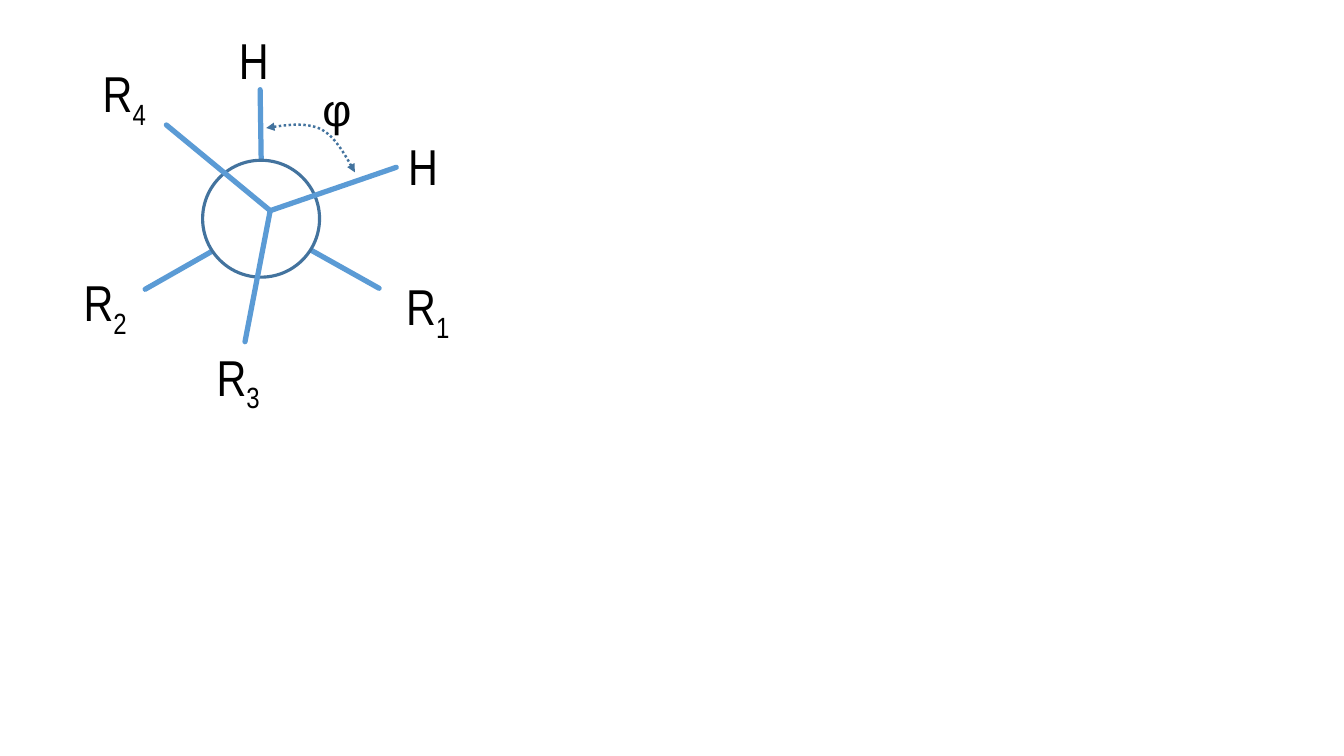
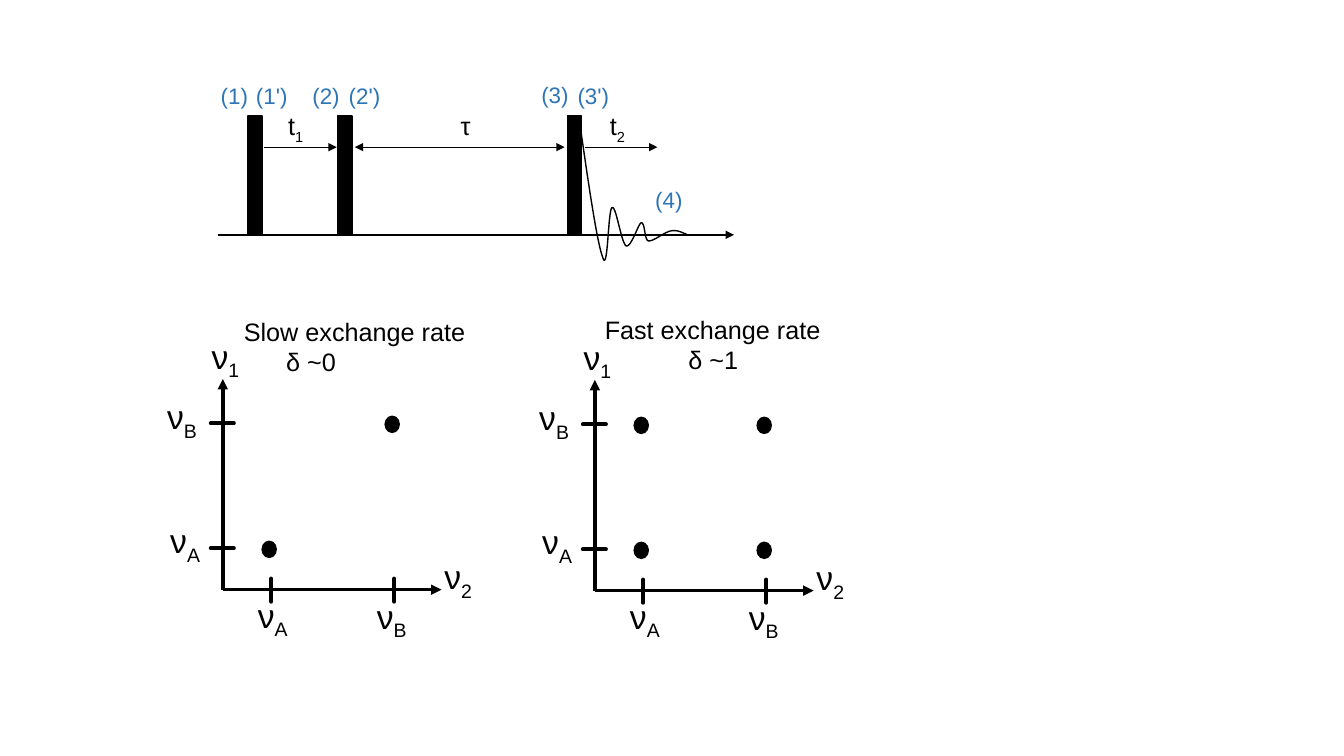
import pptx
import pptx.dml.color
import pptx.enum.dml
import pptx.enum.shapes
import pptx.enum.text
import pptx.oxml
import pptx.oxml.ns
import pptx.util
from pptx.util import Inches

BLACK = "000000"
BOND_BLUE = "5B9BD5"
OUTLINE_BLUE = "43739E"
STAGE_BLUE = "2E75B6"
OVAL = pptx.enum.shapes.MSO_SHAPE.OVAL
RECTANGLE = pptx.enum.shapes.MSO_SHAPE.RECTANGLE


def color(hex_string):
    return pptx.dml.color.RGBColor.from_string(hex_string)


def new_element(tag):
    return pptx.oxml.parse_xml(f"<a:{tag} {pptx.oxml.ns.nsdecls('a')}/>")


def style_line(line, hex_string, width, head=False, tail=False, dash=None, rounded=False):
    line.color.rgb = color(hex_string)
    line.width = pptx.util.Pt(width)
    if dash:
        line.dash_style = dash
    outline = line._get_or_add_ln()
    if rounded:
        outline.set("cap", "rnd")
    for wanted, tag in ((head, "headEnd"), (tail, "tailEnd")):
        if wanted:
            end = new_element(tag)
            end.set("type", "triangle")
            outline.append(end)


def add_line(shapes, start, end, hex_string, width, **options):
    straight = pptx.enum.shapes.MSO_CONNECTOR.STRAIGHT
    connector = shapes.add_connector(straight, *map(Inches, (*start, *end)))
    style_line(connector.line, hex_string, width, **options)
    connector._element.spPr.append(new_element("effectLst"))


def add_filled(shapes, kind, box, fill, line, width):
    shape = shapes.add_shape(kind, *map(Inches, box))
    shape.shadow.inherit = False
    shape.fill.solid()
    shape.fill.fore_color.rgb = color(fill)
    style_line(shape.line, line, width)


def bezier_points(start, curves, steps=16):
    """Yield points along a chain of cubic curves, each (control, control, end)."""
    for first, second, end in curves:
        for step in range(1, steps + 1):
            t = step / steps
            u = 1 - t
            yield tuple(
                Inches(u**3 * a + 3 * u * u * t * b + 3 * u * t * t * c + t**3 * d)
                for a, b, c, d in zip(start, first, second, end)
            )
        start = end


def add_curve(shapes, left, top, start, curves, hex_string, width, **options):
    def place(point):
        return left + point[0], top + point[1]

    start = place(start)
    curves = [[place(point) for point in curve] for curve in curves]
    builder = shapes.build_freeform(*map(Inches, start))
    builder.add_line_segments(list(bezier_points(start, curves)), close=False)
    curve_shape = builder.convert_to_shape()
    curve_shape.shadow.inherit = False
    curve_shape.fill.background()
    style_line(curve_shape.line, hex_string, width, **options)


def add_label(shapes, box, text, size, subscript="", font="Arial", hex_string=BLACK):
    text_box = shapes.add_textbox(*map(Inches, box))
    frame = text_box.text_frame
    frame.word_wrap = False
    frame.auto_size = pptx.enum.text.MSO_AUTO_SIZE.SHAPE_TO_FIT_TEXT
    frame.text = text
    if subscript:
        span = frame.paragraphs[0].add_run()
        span.text = subscript
        span._r.get_or_add_rPr().set("baseline", "-25000")
    for para in frame.paragraphs:
        for span in para.runs:
            span.font.name = font
            span.font.size = pptx.util.Pt(size)
            span.font.color.rgb = color(hex_string)
    return frame


def add_newman_projection(page, left, top):
    shapes = page.shapes.add_group_shape().shapes

    def add_bonds(bonds):
        for (x1, y1), (x2, y2) in bonds:
            add_line(shapes, (left + x1, top + y1), (left + x2, top + y2),
                     BOND_BLUE, 3.75, rounded=True)

    rear_atom, front_atom = (1.87, 1.97), (1.95, 1.85)
    add_bonds((end, rear_atom) for end in ((1.85, 0.65), (3.03, 2.62), (0.71, 2.63)))
    add_filled(shapes, OVAL, (left + 1.28, top + 1.35, 1.16, 1.16),
               "FFFFFF", OUTLINE_BLUE, 2.25)
    add_bonds((end, front_atom) for end in ((1.7, 3.15), (3.2, 1.42), (0.92, 1)))

    add_curve(shapes, left, top, (1.91, 1.03),
              [((2.1, 1), (2.3, 0.97), (2.45, 1.04)),
               ((2.59, 1.11), (2.69, 1.29), (2.79, 1.47))],
              OUTLINE_BLUE, 1.75, head=True, tail=True,
              dash=pptx.enum.dml.MSO_LINE.ROUND_DOT)
    add_label(shapes, (left + 2.37, top + 0.52, 0.44, 0.64), "φ", 32)
    for x, y, text, subscript in (
        (3.22, 1.05, "H", ""), (1.54, 0, "H", ""),
        (0.19, 0.33, "R", "4"), (0, 2.4, "R", "2"),
        (1.32, 3.14, "R", "3"), (3.2, 2.44, "R", "1"),
    ):
        width = 0.75 if subscript else 0.57
        add_label(shapes, (left + x, top + y, width, 0.71), text, 36,
                  subscript, "Arial Narrow")


def add_pulse_sequence(page, left, top):
    shapes = page.shapes.add_group_shape().shapes
    baseline = top + 1.57
    add_line(shapes, (left + 0.07, baseline), (left + 5.19, baseline),
             BLACK, 1.5, tail=True)
    for x in (0.37, 1.26, 3.54):
        add_filled(shapes, RECTANGLE, (left + x, top + 0.39, 0.14, 1.18), BLACK, BLACK, 1)

    for start, end, head in ((0.53, 1.25, False), (1.43, 3.51, True), (3.71, 4.43, False)):
        add_line(shapes, (left + start, top + 0.7), (left + end, top + 0.7),
                 BLACK, 0.5, head=head, tail=True)
    for x, width, text, subscript in (
        (0.67, 0.37, "t", "1"), (2.38, 0.31, "τ", ""), (3.86, 0.36, "t", "2"),
    ):
        add_label(shapes, (left + x, top + 0.29, width, 0.4), text, 18, subscript)

    add_curve(shapes, left, top, (3.65, 0.39),
              [((3.74, 1.02), (3.83, 1.65), (3.89, 1.8)),
               ((3.94, 1.95), (3.94, 1.32), (3.98, 1.3)),
               ((4.02, 1.27), (4.07, 1.65), (4.12, 1.68)),
               ((4.17, 1.7), (4.24, 1.46), (4.27, 1.45)),
               ((4.31, 1.45), (4.3, 1.62), (4.34, 1.63)),
               ((4.39, 1.64), (4.5, 1.54), (4.57, 1.53)),
               ((4.63, 1.52), (4.68, 1.55), (4.73, 1.57))],
              BLACK, 1)
    for x, y, text in (
        (0, 0.01, "(1)"), (0.35, 0.01, "(1')"), (0.91, 0.01, "(2)"),
        (1.27, 0.01, "(2')"), (3.18, 0, "(3)"), (3.54, 0.01, "(3')"),
        (4.31, 1.04, "(4)"),
    ):
        width = 0.52 if "'" in text else 0.48
        add_label(shapes, (left + x, top + y, width, 0.37), text, 16,
                  hex_string=STAGE_BLUE)


def add_exchange_plot(page, left, top, title, title_box, delta, delta_indent, peaks):
    """Draw a two-frequency plot; peaks are (ν2, ν1) pairs of the sites A and B."""
    shapes = page.shapes.add_group_shape().shapes
    origin_x, origin_y = left + 0.65, top + 2.77
    tick_x = {"A": origin_x + 0.48, "B": origin_x + 1.7}
    tick_y = {"A": origin_y - 0.41, "B": origin_y - 1.65}

    for end in ((origin_x, top + 0.68), (left + 2.82, origin_y)):
        add_line(shapes, (origin_x, origin_y), end, BLACK, 2.5, tail=True)
    for x in tick_x.values():
        add_line(shapes, (x, origin_y - 0.11), (x, origin_y + 0.12),
                 BLACK, 2.75, rounded=True)
    for y in tick_y.values():
        add_line(shapes, (origin_x - 0.12, y), (origin_x + 0.11, y),
                 BLACK, 2.75, rounded=True)
    for site_x, site_y in peaks:
        box = (tick_x[site_x] - 0.09, tick_y[site_y] - 0.07, 0.14, 0.16)
        add_filled(shapes, OVAL, box, BLACK, BLACK, 1)

    for x, y, subscript in (
        (0.44, 0.2, "1"), (2.75, 2.39, "2"), (0.9, 2.77, "A"),
        (2.08, 2.78, "B"), (0.03, 2.03, "A"), (0, 0.8, "B"),
    ):
        width = 0.5 if subscript.isdigit() else 0.53
        add_label(shapes, (left + x, top + y, width, 0.5), "ν", 24, subscript)

    x, y, width = title_box
    frame = add_label(shapes, (left + x, top + y, width, 0.71), f"{title}\n{delta}", 18)
    properties = frame.paragraphs[1]._p.get_or_add_pPr()
    properties.set("marL", str(Inches(delta_indent)))


def main():
    deck = pptx.Presentation()
    deck.slide_width, deck.slide_height = Inches(13.33), Inches(7.5)
    blank = deck.slide_layouts[6]

    add_newman_projection(deck.slides.add_slide(blank), 0.73, 0.24)

    page = deck.slides.add_slide(blank)
    add_pulse_sequence(page, 2.09, 0.76)
    add_exchange_plot(page, 1.56, 3.08, "Slow exchange rate", (0.76, 0.01, 2.42),
                      "δ ~0", 0.42, ("AA", "BB"))
    add_exchange_plot(page, 5.25, 3.09, "Fast exchange rate", (0.65, -0.02, 2.36),
                      "δ ~1", 0.83, ("AA", "BA", "AB", "BB"))
    deck.save("out.pptx")


if __name__ == "__main__":
    main()
